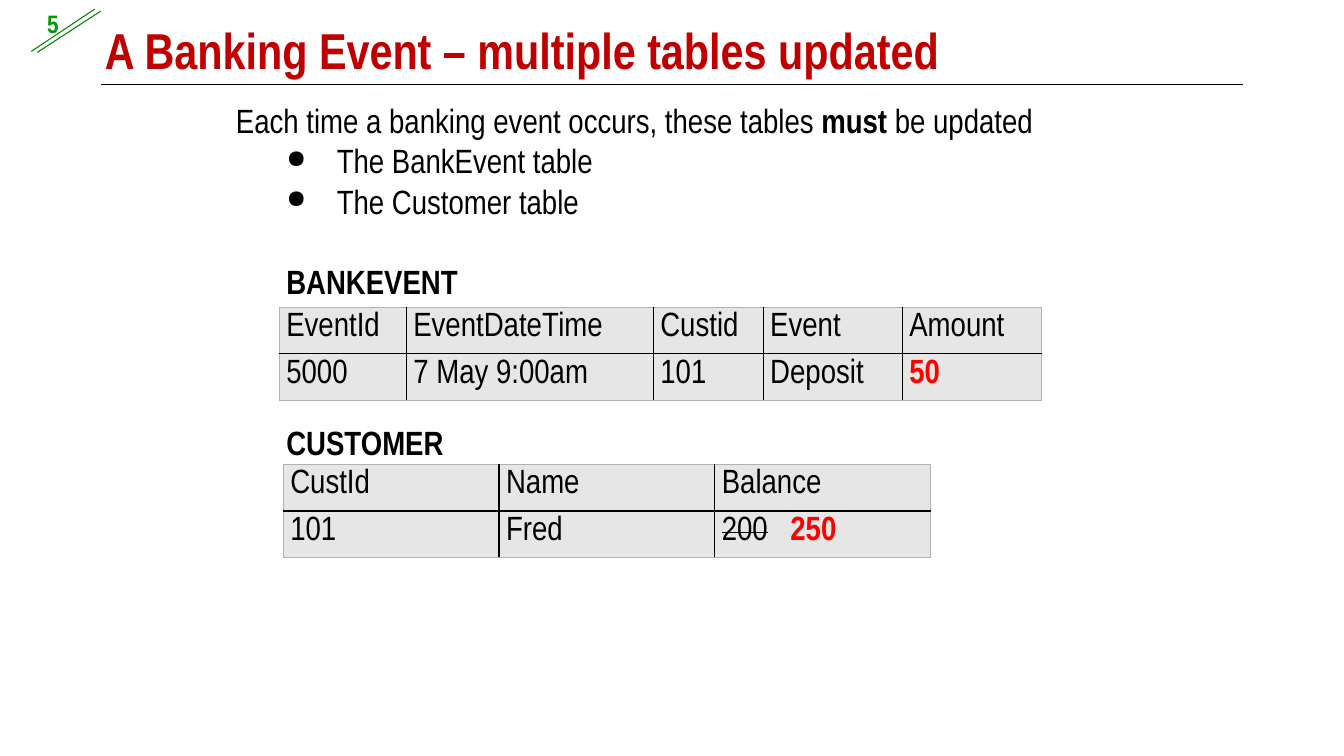
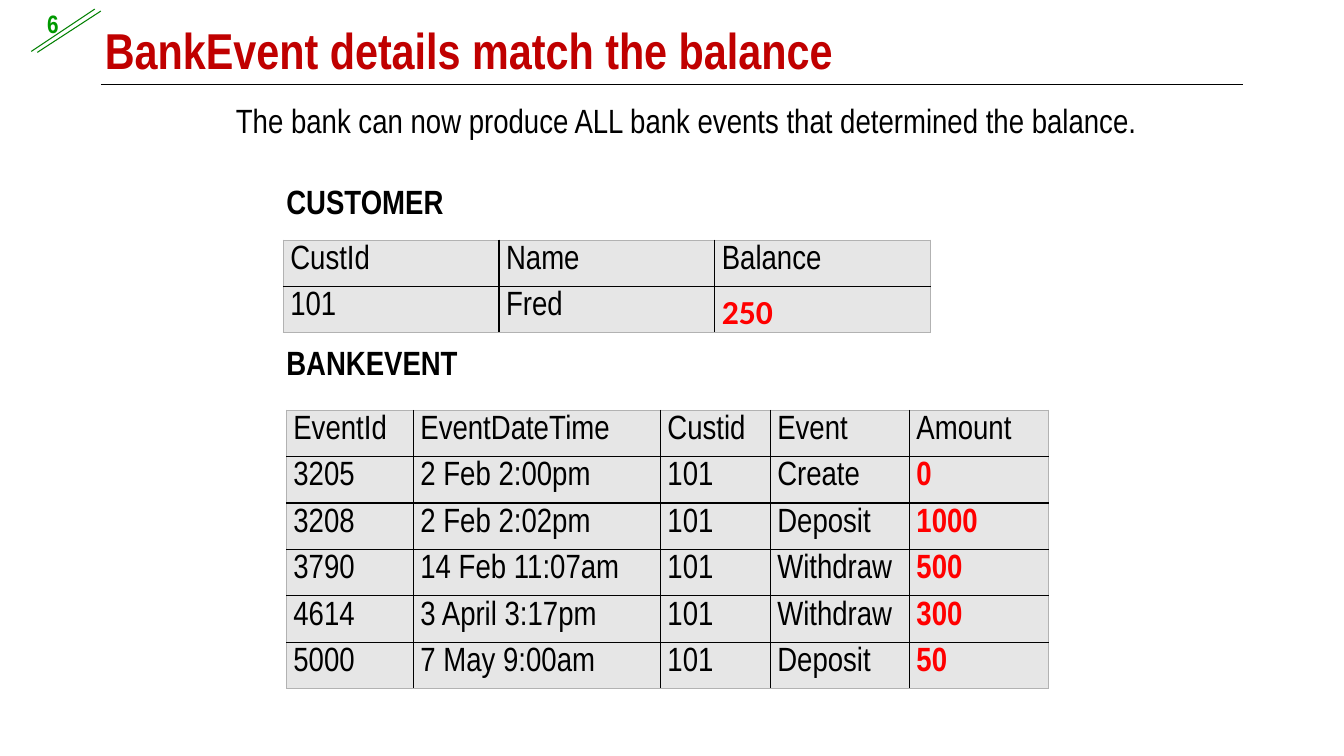
from lxml.etree import SubElement
from pptx import Presentation
from pptx.dml.color import RGBColor
from pptx.enum.shapes import MSO_CONNECTOR
from pptx.enum.text import MSO_ANCHOR, MSO_AUTO_SIZE, PP_ALIGN
from pptx.oxml.ns import qn
from pptx.util import Pt

PX = 9144  # EMU in one px, 100 px to the inch
BLACK = RGBColor(0x00, 0x00, 0x00)
RED = RGBColor(0xFF, 0x00, 0x00)
CRIMSON = RGBColor(0xC0, 0x00, 0x00)
GREEN = RGBColor(0x00, 0x80, 0x00)
LEAF = RGBColor(0x00, 0x99, 0x00)
PALE = RGBColor(0xE6, 0xE6, 0xE6)
GREY = RGBColor(0xB2, 0xB2, 0xB2)

TEXT = dict(name="Arial Narrow", size=Pt(24), bold=False, ink=BLACK)
BOLD = dict(bold=True)
HOT = dict(bold=True, ink=RED)
TITLE = dict(size=Pt(36), bold=True, ink=CRIMSON)
NUMBER = dict(size=Pt(18), bold=True, ink=LEAF)
LINE = 28.8  # height of one text line, in points

ROW = 46
EVENT_COLS = [126, 245, 109, 138, 138]
EVENT_HEAD = ["EventId", "EventDateTime", "Custid", "Event", "Amount"]
CUST_COLS = [214] * 3
CUST_HEAD = ["CustId", "Name", "Balance"]
LAST = ["5000", "7 May 9:00am", "101", "Deposit", [("50", HOT)]]


def scale(*sizes):
    return [size * PX for size in sizes]


def put(thing, **values):
    for key, value in values.items():
        setattr(thing, key, value)


def write(para, parts):
    """Add text, or a list of (text, changes to the TEXT format)."""
    if isinstance(parts, str):
        parts = [(parts, {})]
    for text, change in parts:
        if "\t" in text:
            tab(para, 68)
        run = para.add_run()
        run.text = text
        for key, value in {**TEXT, **change}.items():
            if key == "ink":
                run.font.color.rgb = value
            elif key == "strike":
                run.font._element.set("strike", value)
            else:
                setattr(run.font, key, value)


def indent(para, left, first=0):
    props = para._p.get_or_add_pPr()
    props.set("marL", str(left * PX))
    props.set("indent", str(first * PX))
    return props


def bullet(para):
    props = indent(para, 100, -50)
    SubElement(props, qn("a:buSzPct"), val="75000")
    SubElement(props, qn("a:buChar"), char="●")


def tab(para, at):
    stops = SubElement(para._p.get_or_add_pPr(), qn("a:tabLst"))
    SubElement(stops, qn("a:tab"), pos=str(at * PX), algn="l")


def rule(slide, ends, ink):
    line = slide.shapes.add_connector(MSO_CONNECTOR.STRAIGHT, *scale(*ends))
    line.line.color.rgb = ink
    line.line.width = Pt(0.75)
    SubElement(line._element.spPr, qn("a:effectLst"))


def frame(deck, number, title):
    """Make a slide with its title, rule and page number."""
    slide = deck.slides.add_slide(deck.slide_layouts[5])
    rule(slide, (100, 84, 1233, 84), BLACK)
    rule(slide, (31, 51, 94, 9), GREEN)
    rule(slide, (37, 52, 100, 11), GREEN)

    page = slide.shapes.add_textbox(*scale(0, 9, 68, 34)).text_frame
    page.word_wrap = True
    put(page.paragraphs[0], alignment=PP_ALIGN.RIGHT, line_spacing=0.8)
    write(page.paragraphs[0], [(str(number), NUMBER)])

    head = slide.shapes.title
    left, top, width, height = scale(94, 13, 1197, 71)
    put(head, left=left, top=top, width=width, height=height)
    put(head.text_frame, vertical_anchor=MSO_ANCHOR.BOTTOM,
        auto_size=MSO_AUTO_SIZE.NONE, word_wrap=True)
    para = head.text_frame.paragraphs[0]
    para.alignment = PP_ALIGN.LEFT
    write(para, [(title, TITLE)])
    return slide


def body(slide, box, items):
    """Fill a box from (kind, lines of gap above, text) items."""
    area = slide.shapes.add_textbox(*scale(*box)).text_frame
    put(area, word_wrap=True, margin_left=0, margin_right=0,
        margin_top=0, margin_bottom=0)
    for pos, (kind, gap, text) in enumerate(items):
        para = area.add_paragraph() if pos else area.paragraphs[0]
        if kind == "bullet":
            bullet(para)
        elif kind == "label":
            indent(para, 50)
            text = [(text, BOLD)]
        if gap:
            para.space_before = Pt(gap * LINE)
        write(para, text)


def border(cell, edges):
    """Draw the four sides; edges tells which lie on the table's rim."""
    props = cell._tc.get_or_add_tcPr()
    for side, rim in edges.items():
        line = SubElement(props, qn("a:ln" + side),
                          w=str(Pt(0.5) if rim else Pt(1)))
        fill = SubElement(line, qn("a:solidFill"))
        SubElement(fill, qn("a:srgbClr"), val=str(GREY if rim else BLACK))


def grid(slide, left, top, cols, rows):
    box = scale(left, top, sum(cols), ROW * len(rows))
    table = slide.shapes.add_table(len(rows), len(cols), *box).table
    put(table, first_row=False, horz_banding=False)
    for col, width in zip(table.columns, cols):
        col.width = width * PX
    for y, row in enumerate(rows):
        table.rows[y].height = ROW * PX
        for x, parts in enumerate(row):
            cell = table.cell(y, x)
            border(cell, dict(L=x == 0, R=x == len(cols) - 1,
                              T=y == 0, B=y == len(rows) - 1))
            cell.fill.solid()
            cell.fill.fore_color.rgb = PALE
            put(cell, margin_left=7 * PX, margin_right=7 * PX,
                margin_top=0, margin_bottom=0)
            para = cell.text_frame.paragraphs[0]
            para.line_spacing = 1.15
            write(para, parts)


def update(deck):
    slide = frame(deck, 5, "A Banking Event – multiple tables updated")
    body(slide, (234, 99, 912, 546), [
        ("plain", 0, [("Each time a banking event occurs, these tables ", {}),
                      ("must", BOLD), (" be updated", {})]),
        ("bullet", 0, "The BankEvent table"),
        ("bullet", 0, "The Customer table"),
        ("label", 1, "BANKEVENT"),
        ("label", 3, "CUSTOMER")])
    change = [("200", dict(strike="sngStrike")), ("\t", {}), ("250", HOT)]
    grid(slide, 281, 461, CUST_COLS, [CUST_HEAD, ["101", "Fred", change]])
    grid(slide, 277, 305, EVENT_COLS, [EVENT_HEAD, LAST])


def match(deck):
    slide = frame(deck, 6, "BankEvent details match the balance")
    body(slide, (234, 99, 933, 572), [
        ("plain", 0, "The bank can now produce ALL bank events "
                     "that determined the balance."),
        ("label", 1, "CUSTOMER"),
        ("label", 3, "BANKEVENT")])
    total = [("250", dict(HOT, name="Calibri"))]
    grid(slide, 281, 238, CUST_COLS, [CUST_HEAD, ["101", "Fred", total]])
    events = [("3205", "2 Feb 2:00pm", "Create", "0"),
              ("3208", "2 Feb 2:02pm", "Deposit", "1000"),
              ("3790", "14 Feb 11:07am", "Withdraw", "500"),
              ("4614", "3 April 3:17pm", "Withdraw", "300")]
    rows = [[key, time, "101", event, [(amount, HOT)]]
            for key, time, event, amount in events]
    grid(slide, 284, 407, EVENT_COLS, [EVENT_HEAD, *rows, LAST])


def main():
    deck = Presentation()
    deck.slide_width, deck.slide_height = scale(1333, 750)
    update(deck)
    match(deck)
    deck.save("out.pptx")


if __name__ == "__main__":
    main()
